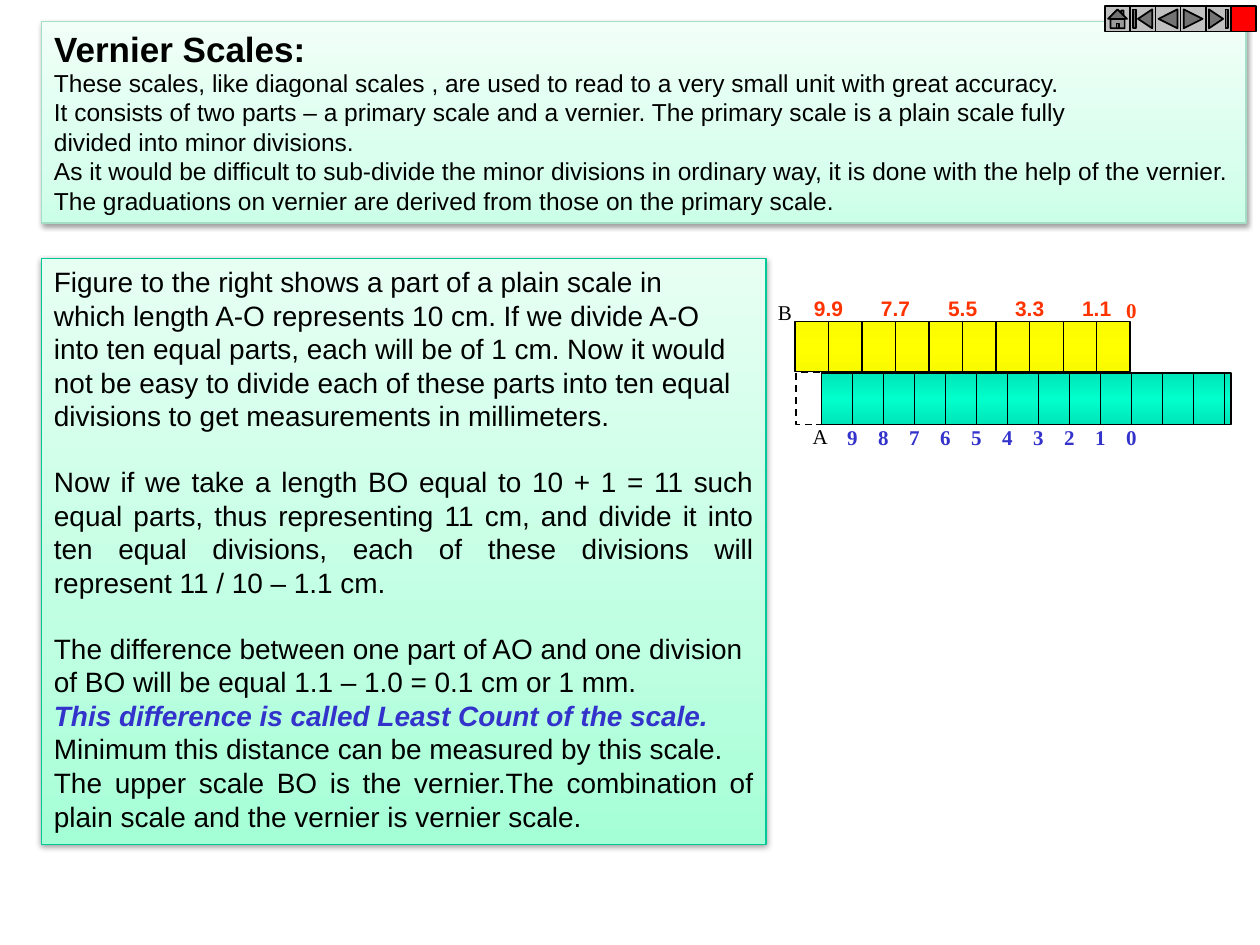
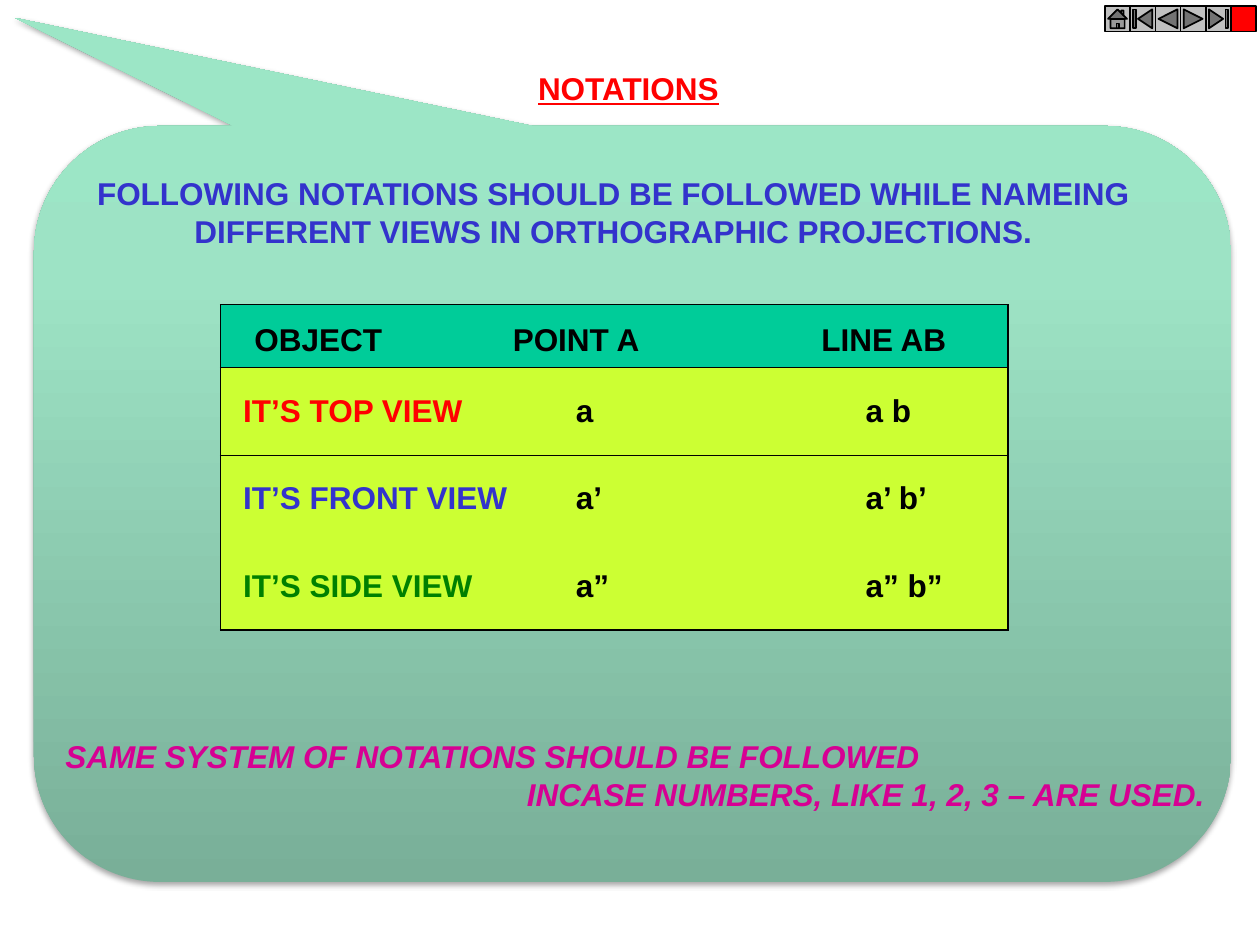
from lxml.etree import SubElement
from pptx import Presentation
from pptx.dml.color import RGBColor
from pptx.enum.dml import MSO_LINE
from pptx.enum.shapes import MSO_CONNECTOR, MSO_SHAPE
from pptx.enum.text import MSO_ANCHOR, MSO_AUTO_SIZE, PP_ALIGN
from pptx.oxml.ns import qn
from pptx.util import Inches, Pt

BLACK = RGBColor(0x00, 0x00, 0x00)
WHITE = RGBColor(0xFF, 0xFF, 0xFF)
RED = RGBColor(0xFF, 0x00, 0x00)
ORANGE = RGBColor(0xFF, 0x33, 0x00)
BLUE = RGBColor(0x33, 0x33, 0xCC)
GREEN = RGBColor(0x00, 0x80, 0x00)
MAGENTA = RGBColor(0xD6, 0x00, 0x93)
GREY = RGBColor(0xC0, 0xC0, 0xC0)
TEAL = RGBColor(0x00, 0xCC, 0x99)
LIME = RGBColor(0xCC, 0xFF, 0x33)
PANEL_LINE = RGBColor(0x00, 0xC8, 0x96)
INTRO_LINE = RGBColor(0xA5, 0xDE, 0xC6)

PANEL_STOPS = [(0, "A5FFD6"), (35, "BFFFE2"), (100, "E7FFF3")]
INTRO_STOPS = [(0, "CCFFE8"), (35, "DAFFEE"), (100, "F1FFF8")]
CALLOUT_STOPS = [(0, "79AF98"), (80, "9DE3C5"), (100, "9CE6C6")]
PRIMARY_STOPS = [(0, "00E5B8"), (50, "00FFCC"), (100, "00E5B8")]
VERNIER_STOPS = [(0, "FAFA00"), (50, "FFFF00"), (100, "FAFA00")]

SANS = "Arial"
SERIF = "Times New Roman"
NO_TABLE_STYLE = "{2D5ABB26-0587-4C30-8999-92F81FD0307C}"

BUTTON_SIZE = 0.2
NAVIGATION_BUTTONS = [
    (MSO_SHAPE.ACTION_BUTTON_HOME, GREY),
    (MSO_SHAPE.ACTION_BUTTON_BEGINNING, GREY),
    (MSO_SHAPE.ACTION_BUTTON_BACK_OR_PREVIOUS, GREY),
    (MSO_SHAPE.ACTION_BUTTON_FORWARD_OR_NEXT, GREY),
    (MSO_SHAPE.ACTION_BUTTON_END, GREY),
    (MSO_SHAPE.ACTION_BUTTON_CUSTOM, RED),
]

INTRO_LINES = [
    "These scales, like diagonal scales , are used to read to a very small unit with great accuracy.",
    "It consists of two parts – a primary scale and a vernier. The primary scale is a plain scale fully",
    "divided into minor divisions.",
    "As it would be difficult to sub-divide the minor divisions in ordinary way, "
    "it is done with the help of the vernier.",
    "The graduations on vernier are derived from those on the primary scale.",
]
LEAST_COUNT = "This difference is called Least Count of the scale."
EXPLANATION_BLOCKS = [
    [
        "Figure to the right shows a part of a plain scale in",
        "which length A-O represents 10 cm. If we divide A-O",
        "into ten equal parts, each will be of 1 cm. Now it would",
        "not be easy to divide each of these parts into ten equal",
        "divisions to get measurements in millimeters.",
    ],
    [
        "Now if we take a length BO equal to 10 + 1 = 11 such equal parts, thus representing 11 cm, "
        "and divide it into ten equal divisions, each of these divisions will represent 11 / 10 – 1.1 cm.",
    ],
    [
        "The difference between one part of AO and one division of BO "
        "will be equal 1.1 – 1.0 = 0.1 cm or 1 mm.",
        LEAST_COUNT,
        "Minimum this distance can be measured by this scale.",
        "The upper scale BO is the vernier.The combination of plain scale and the vernier is vernier scale.",
    ],
]
NOTATION_ROWS = [
    (("OBJECT", BLACK, 0.27), ("POINT A", BLACK, 0.02), ("LINE AB", BLACK, 0.27)),
    (("IT’S TOP VIEW", RED, 0.18), ("a", BLACK, 0.52), ("a b", BLACK, 0.62)),
    (("IT’S FRONT VIEW", BLUE, 0.18), ("a’", BLACK, 0.52), ("a’ b’", BLACK, 0.62)),
    (("IT’S SIDE VIEW", GREEN, 0.18), ("a”", BLACK, 0.52), ("a” b”", BLACK, 0.62)),
]


def style_paragraph(paragraph, text, size, color, bold=False, italic=False,
                    alignment=PP_ALIGN.LEFT, name=SANS):
    """Fill a paragraph and set its font."""
    paragraph.text = text
    paragraph.alignment = alignment
    font = paragraph.font
    font.name, font.size, font.bold, font.italic = name, Pt(size), bold, italic
    font.color.rgb = color


def next_paragraph(frame):
    """Return the empty first paragraph of a frame, or a new one."""
    first = frame.paragraphs[0]
    return frame.add_paragraph() if first.text else first


def set_gradient(shape, stops, angle):
    """Fill a shape with a linear gradient, the angle being clockwise."""
    shape.fill.gradient()
    shape.fill.gradient_angle = (360 - angle) % 360
    stop_list = shape._element.spPr.find(qn("a:gradFill")).find(qn("a:gsLst"))
    for old_stop in list(stop_list):
        stop_list.remove(old_stop)
    for position, color in stops:
        stop = SubElement(stop_list, qn("a:gs"), pos=str(position * 1000))
        SubElement(stop, qn("a:srgbClr"), val=color)


def add_drop_shadow(shape, distance, opacity):
    """Give a shape a soft black shadow that falls downwards."""
    effects = shape._element.spPr.find(qn("a:effectLst"))
    shadow = SubElement(effects, qn("a:outerShdw"), blurRad=str(Pt(3.1)), dist=str(Pt(distance)),
                        dir="5400000", rotWithShape="0")
    color = SubElement(shadow, qn("a:srgbClr"), val="000000")
    SubElement(color, qn("a:alpha"), val=str(opacity * 1000))


def add_box(shapes, kind, left, top, width, height, line_color=BLACK, line_width=0.75):
    """Add a preset shape without shadow; with no line colour it has no line."""
    shape = shapes.add_shape(kind, Inches(left), Inches(top), Inches(width), Inches(height))
    shape.shadow.inherit = False
    if line_color is None:
        shape.line.fill.background()
    else:
        shape.line.color.rgb = line_color
        shape.line.width = Pt(line_width)
    return shape


def add_panel(slide, left, top, width, height, stops, line_color):
    """Add a shadowed gradient panel and return its text frame."""
    panel = add_box(slide.shapes, MSO_SHAPE.RECTANGLE, left, top, width, height, line_color)
    set_gradient(panel, stops, 270)
    add_drop_shadow(panel, 1.6, 38)
    frame = panel.text_frame
    frame.word_wrap = True
    frame.vertical_anchor = MSO_ANCHOR.TOP
    return frame


def add_text(slide, left, top, width, height):
    """Add a wrapping text box and return its text frame."""
    box = slide.shapes.add_textbox(Inches(left), Inches(top), Inches(width), Inches(height))
    box.text_frame.word_wrap = True
    return box.text_frame


def place_title(slide, text, left, top, width, height, size, color):
    """Move the title placeholder in front of the other shapes and fill it."""
    title = slide.shapes.title
    title.left, title.top = Inches(left), Inches(top)
    title.width, title.height = Inches(width), Inches(height)
    frame = title.text_frame
    frame.auto_size = MSO_AUTO_SIZE.NONE
    frame.vertical_anchor = MSO_ANCHOR.TOP
    style_paragraph(frame.paragraphs[0], text, size, color, bold=True)
    slide.shapes._spTree.append(title._element)
    return frame.paragraphs[0]


def add_navigation(slide):
    """Add the row of navigation buttons at the top right."""
    group = slide.shapes.add_group_shape()
    for index, (kind, color) in enumerate(NAVIGATION_BUTTONS):
        button = add_box(group.shapes, kind, 8.77 + index * BUTTON_SIZE, 0.05,
                         BUTTON_SIZE, BUTTON_SIZE, line_width=1)
        button.fill.solid()
        button.fill.fore_color.rgb = color


def add_scale(slide, left, top, width, height, stops, unit, tick_count):
    """Add a scale bar with a tick at every unit."""
    bar = add_box(slide.shapes, MSO_SHAPE.RECTANGLE, left, top, width, height)
    set_gradient(bar, stops, 90)
    for index in range(1, tick_count + 1):
        x = Inches(left + index * unit)
        tick = slide.shapes.add_connector(MSO_CONNECTOR.STRAIGHT, x, bar.top, x, bar.top + bar.height)
        tick.line.color.rgb = BLACK
        tick.line.width = Pt(0.75)
        SubElement(tick._element.spPr, qn("a:effectLst"))
        if abs(x - bar.left - bar.width / 2) < Inches(0.01):
            tick.begin_connect(bar, 0)
            tick.end_connect(bar, 2)


def add_label(slide, text, center, top, color, bold=True, name=SERIF):
    """Add a scale label centred on a horizontal position."""
    frame = add_text(slide, center - 0.3, top, 0.6, 0.3)
    style_paragraph(frame.paragraphs[0], text, 12, color, bold, alignment=PP_ALIGN.CENTER, name=name)


def add_scale_figure(slide):
    """Draw the vernier above the primary scale, with their labels."""
    vernier_left, vernier_unit = 6.31, 0.266
    primary_left, zero = 6.52, 8.98
    primary_unit = (zero - primary_left) / 10

    overhang = add_box(slide.shapes, MSO_SHAPE.RECTANGLE, 6.32, 2.95, 0.25, 0.42, line_width=1)
    overhang.fill.solid()
    overhang.fill.fore_color.rgb = WHITE
    overhang.line.dash_style = MSO_LINE.DASH
    add_scale(slide, primary_left, 2.96, 3.25, 0.41, PRIMARY_STOPS, primary_unit, 13)
    add_scale(slide, vernier_left, 2.55, 10 * vernier_unit, 0.4, VERNIER_STOPS, vernier_unit, 9)

    for division in range(9, 0, -2):
        center = vernier_left + (10 - division) * vernier_unit
        add_label(slide, f"{division * 1.1:.1f}", center, 2.3, ORANGE, name=SANS)
    for division in range(9, -1, -1):
        add_label(slide, str(division), zero - division * primary_unit, 3.32, BLUE)
    add_label(slide, "0", zero, 2.31, ORANGE)
    add_label(slide, "A", 6.51, 3.31, BLACK, bold=False)
    add_label(slide, "B", 6.23, 2.33, BLACK, bold=False)


def add_cell_borders(cell, sides):
    """Draw black lines on the given sides of a table cell."""
    properties = cell._tc.get_or_add_tcPr()
    for side in sides:
        line = SubElement(properties, qn(f"a:ln{side}"), w=str(Pt(0.75)))
        fill = SubElement(line, qn("a:solidFill"))
        SubElement(fill, qn("a:srgbClr"), val="000000")


def add_notation_table(slide):
    """Add the table of notations for each view."""
    header_height, body_height = 0.5, 2.08
    column_widths = (2.3, 2.2, 1.75)
    last_row, last_column = len(NOTATION_ROWS) - 1, len(column_widths) - 1
    table = slide.shapes.add_table(
        last_row + 1, last_column + 1, Inches(1.75), Inches(2.42),
        Inches(sum(column_widths)), Inches(header_height + body_height)).table
    table._tbl.tblPr.find(qn("a:tableStyleId")).text = NO_TABLE_STYLE
    for column, width in zip(table.columns, column_widths):
        column.width = Inches(width)
    for row_index, row in enumerate(NOTATION_ROWS):
        is_header = row_index == 0
        table.rows[row_index].height = Inches(header_height if is_header else body_height / last_row)
        for column_index, (text, color, indent) in enumerate(row):
            cell = table.cell(row_index, column_index)
            sides = [("L", column_index == 0), ("R", column_index == last_column),
                     ("T", row_index <= 1), ("B", row_index in (0, last_row))]
            add_cell_borders(cell, [side for side, drawn in sides if drawn])
            cell.fill.solid()
            cell.fill.fore_color.rgb = TEAL if is_header else LIME
            cell.vertical_anchor = MSO_ANCHOR.MIDDLE
            cell.margin_left, cell.margin_right = Inches(indent), 0
            if is_header:
                cell.margin_top = Inches(0.12)
            style_paragraph(cell.text_frame.paragraphs[0], text, 18, color, bold=True)


def build_vernier_slide(slide):
    """Build the slide that explains vernier scales."""
    explanation = add_panel(slide, 0.33, 2.05, 5.75, 4.65, PANEL_STOPS, PANEL_LINE)
    for block_index, block in enumerate(EXPLANATION_BLOCKS):
        for line_index, line in enumerate(block):
            paragraph = next_paragraph(explanation)
            is_key = line == LEAST_COUNT
            starts_last_block = block_index == 2 and line_index == 0
            style_paragraph(paragraph, line, 16, BLUE if is_key else BLACK, is_key, is_key,
                            PP_ALIGN.LEFT if starts_last_block else PP_ALIGN.JUSTIFY)
            if block_index and line_index == 0:
                paragraph.space_before = Pt(18.4)

    intro = add_panel(slide, 0.33, 0.17, 9.56, 1.6, INTRO_STOPS, INTRO_LINE)
    intro.margin_top = Inches(0.37)
    for line in INTRO_LINES:
        style_paragraph(next_paragraph(intro), line, 14, BLACK)
    place_title(slide, "Vernier Scales:", 0.33, 0.17, 4, 0.42, 20, BLACK)
    add_scale_figure(slide)
    add_navigation(slide)


def build_notations_slide(slide):
    """Build the slide that lists the notations of views."""
    callout = add_box(slide.shapes, MSO_SHAPE.ROUNDED_RECTANGULAR_CALLOUT, 0.27, 1, 9.5, 6, None)
    for index, value in enumerate((-0.516, -0.643, 0.167)):
        callout.adjustments[index] = value
    set_gradient(callout, CALLOUT_STOPS, 270)
    add_drop_shadow(callout, 1.8, 35)

    place_title(slide, "NOTATIONS", 4.17, 0.5, 1.74, 0.7, 18, RED).font.underline = True
    rule = add_text(slide, 0.5, 1.33, 8.74, 0.7)
    for line in ("FOLLOWING NOTATIONS SHOULD BE FOLLOWED WHILE NAMEING",
                 "DIFFERENT VIEWS IN ORTHOGRAPHIC PROJECTIONS."):
        style_paragraph(next_paragraph(rule), line, 18, BLUE, bold=True, alignment=PP_ALIGN.CENTER)
    add_notation_table(slide)
    note = add_text(slide, 0.42, 5.8, 9.24, 0.7)
    for line, alignment in (("SAME SYSTEM OF NOTATIONS SHOULD BE FOLLOWED", PP_ALIGN.LEFT),
                            ("INCASE NUMBERS, LIKE 1, 2, 3 – ARE USED.", PP_ALIGN.RIGHT)):
        style_paragraph(next_paragraph(note), line, 18, MAGENTA, True, True, alignment)
    add_navigation(slide)


def main():
    """Create the presentation and save it."""
    presentation = Presentation()
    presentation.slide_width, presentation.slide_height = Inches(10), Inches(7.5)
    title_only = presentation.slide_layouts[5]
    for build in (build_vernier_slide, build_notations_slide):
        build(presentation.slides.add_slide(title_only))
    presentation.save("out.pptx")


if __name__ == "__main__":
    main()
